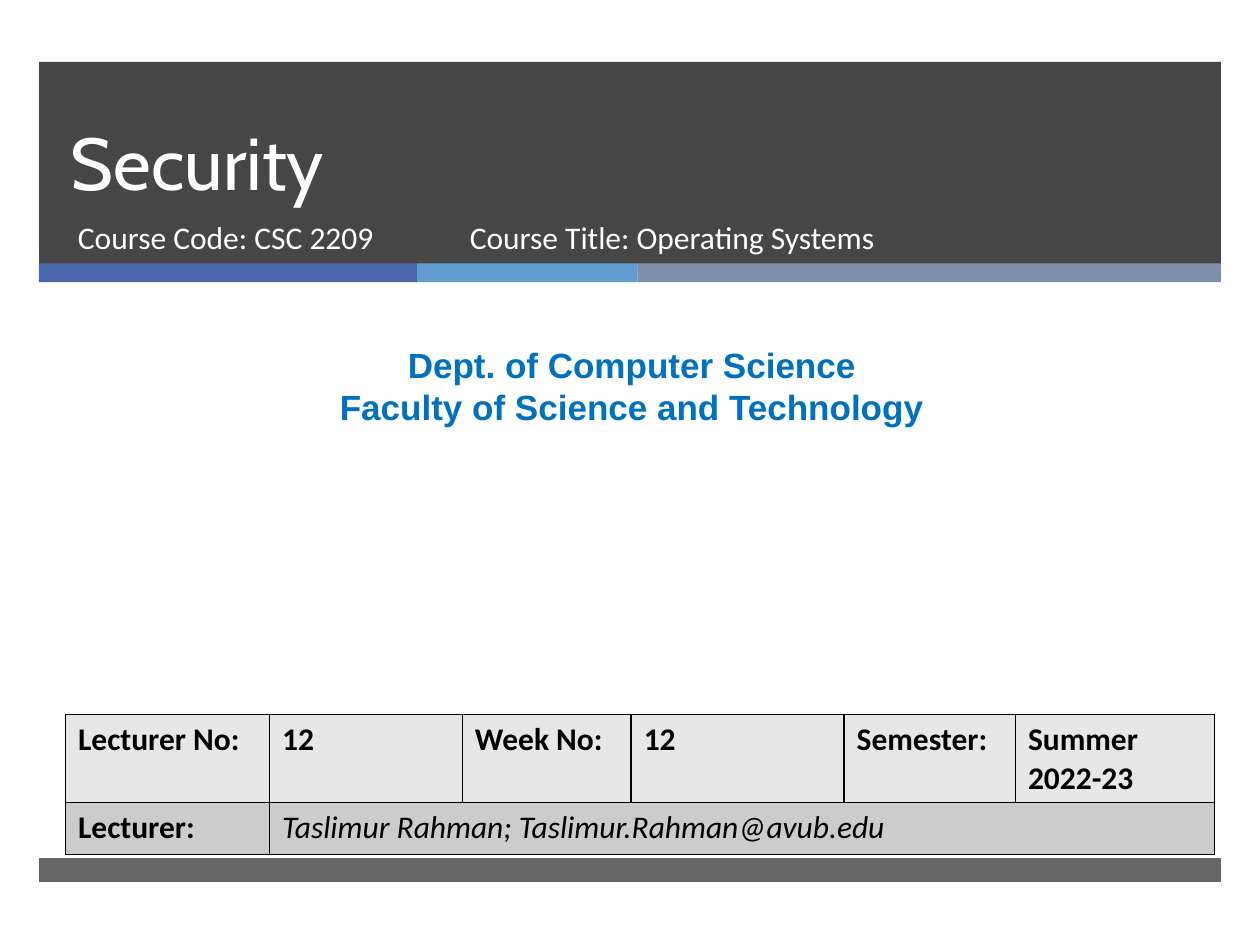
from itertools import accumulate

from lxml import etree
from pptx import Presentation
from pptx.dml.color import RGBColor
from pptx.enum.shapes import MSO_SHAPE
from pptx.enum.text import MSO_ANCHOR, MSO_AUTO_SIZE, PP_ALIGN
from pptx.oxml import parse_xml
from pptx.oxml.ns import nsdecls, qn
from pptx.util import Inches, Pt

RECT = MSO_SHAPE.RECTANGLE
LOW, TOP = MSO_ANCHOR.BOTTOM, MSO_ANCHOR.TOP
LEFT, MID = PP_ALIGN.LEFT, PP_ALIGN.CENTER
FIXED = MSO_AUTO_SIZE.NONE
DARK = RGBColor(0x26, 0x26, 0x26)
NAVY = RGBColor(0x4A, 0x66, 0xAC)
SKY = RGBColor(0x62, 0x9D, 0xD1)
SLATE = RGBColor(0x7F, 0x8F, 0xA9)
BLUE = RGBColor(0x00, 0x70, 0xC0)
PALE = RGBColor(0xE7, 0xE7, 0xE7)
GREY = RGBColor(0xCC, 0xCC, 0xCC)
WHITE = RGBColor(0xFF, 0xFF, 0xFF)
BLACK = RGBColor(0x00, 0x00, 0x00)


class Deck:
    """Draws styled elements on one slide, on a grid of 100 columns by 75 rows."""

    def __init__(self):
        self.show = Presentation()
        self.show.slide_width, self.show.slide_height = Inches(10), Inches(7.5)
        self.slide = self.show.slides.add_slide(self.show.slide_layouts[5])
        self.shapes = self.slide.shapes

    def span(self, *cells):
        """Turn grid counts into lengths."""
        return [round(n * self.show.slide_width / 100) for n in cells]

    def style(self, para, size, face, color, bold=False, italic=False):
        """Set the font of a paragraph."""
        font = para.font
        font.size, font.name, font.color.rgb = Pt(size), face, color
        font.bold, font.italic = bold, italic

    def band(self, box, color, alpha=100):
        """Draw a plain bar, see-through when alpha is below 100."""
        bar = self.shapes.add_shape(RECT, *self.span(*box))
        bar.shadow.inherit = False
        bar.fill.solid()
        bar.fill.fore_color.rgb = color
        bar.line.fill.background()
        if alpha < 100:
            tint = bar.fill._xPr.find(".//" + qn("a:srgbClr"))
            etree.SubElement(tint, qn("a:alpha"), val=str(alpha * 1000))

    def title(self, box, text):
        """Fill the title and bring it to the front."""
        head = self.shapes.title
        head.left, head.top, head.width, head.height = self.span(*box)
        frame = head.text_frame
        frame.text = text
        frame.word_wrap, frame.auto_size = True, FIXED
        frame.vertical_anchor = LOW
        para = frame.paragraphs[0]
        para.alignment, para.line_spacing = LEFT, Pt(46)
        self.style(para, 42, "Cabin", WHITE)
        self.shapes._spTree.append(head._element)

    def text(self, box, lines, size, face, color, bold=False, align=LEFT):
        """Add a text box with one paragraph per line."""
        frame = self.shapes.add_textbox(*self.span(*box)).text_frame
        frame.word_wrap, frame.vertical_anchor = True, TOP
        frame.text = "\n".join(lines)
        for para in frame.paragraphs:
            para.alignment = align
            self.style(para, size, face, color, bold)

    def cell(self, cell, text, fill, italic):
        """Fill, frame and write one table cell."""
        cell.text = text
        self.style(cell.text_frame.paragraphs[0], 18, "Calibri", BLACK, not italic, italic)
        cell.fill.solid()
        cell.fill.fore_color.rgb = fill
        props = cell._tc.get_or_add_tcPr()
        for spot, side in enumerate("LRTB"):
            props.insert(spot, parse_xml(
                f'<a:ln{side} {nsdecls("a")} w="12700"><a:solidFill>'
                f'<a:srgbClr val="{BLACK}"/></a:solidFill></a:ln{side}>'))

    def table(self, spot, cols, rows, data, fills):
        """Add a table whose last row joins all but its first cell."""
        box = self.span(*spot, sum(cols), sum(rows))
        grid = self.shapes.add_table(len(rows), len(cols), *box).table
        for col, width in zip(grid.columns, self.span(*cols)):
            col.width = width
        for row, height in zip(grid.rows, self.span(*rows)):
            row.height = height
        last = len(rows) - 1
        for r, (words, fill) in enumerate(zip(data, fills)):
            for c in range(len(cols)):
                word = words[c] if c < len(words) else ""
                self.cell(grid.cell(r, c), word, fill, r == last and c > 0)
        grid.cell(last, 1).merge(grid.cell(last, len(cols) - 1))


def main():
    """Build and save the slide."""
    deck = Deck()
    deck.band((3.1, 4.9, 93.8, 16.1), DARK, 85)
    widths = (30, 17.5, 46.3)
    for left, width, color in zip(accumulate(widths, initial=3.1), widths, (NAVY, SKY, SLATE)):
        deck.band((left, 20.9, width, 1.5), color)
    deck.band((3.1, 68.1, 93.8, 1.9), DARK, 70)
    deck.title((4.6, 4.9, 85.4, 11.9), "Security")
    for left, width, line in ((5.2, 30.5, "Course Code: CSC 2209"),
                              (36.3, 45.5, "Course Title: Operating Systems")):
        deck.text((left, 16.8, width, 5.3), [line], 18, "Calibri", WHITE)
    deck.text((0.8, 26.8, 98.7, 7.7),
              ["Dept. of Computer Science", "Faculty of Science and Technology"],
              20, "Arial", BLUE, True, MID)
    deck.table((5.2, 56.7), (16.2, 15.3, 13.4, 16.9, 13.6, 15.8), (7, 4.1),
               (("Lecturer No:", "12", "Week No:", "12", "Semester:", "Summer 2022-23"),
                ("Lecturer:", "Taslimur Rahman; Taslimur.Rahman@avub.edu")),
               (PALE, GREY))
    deck.show.save("out.pptx")


if __name__ == "__main__":
    main()
